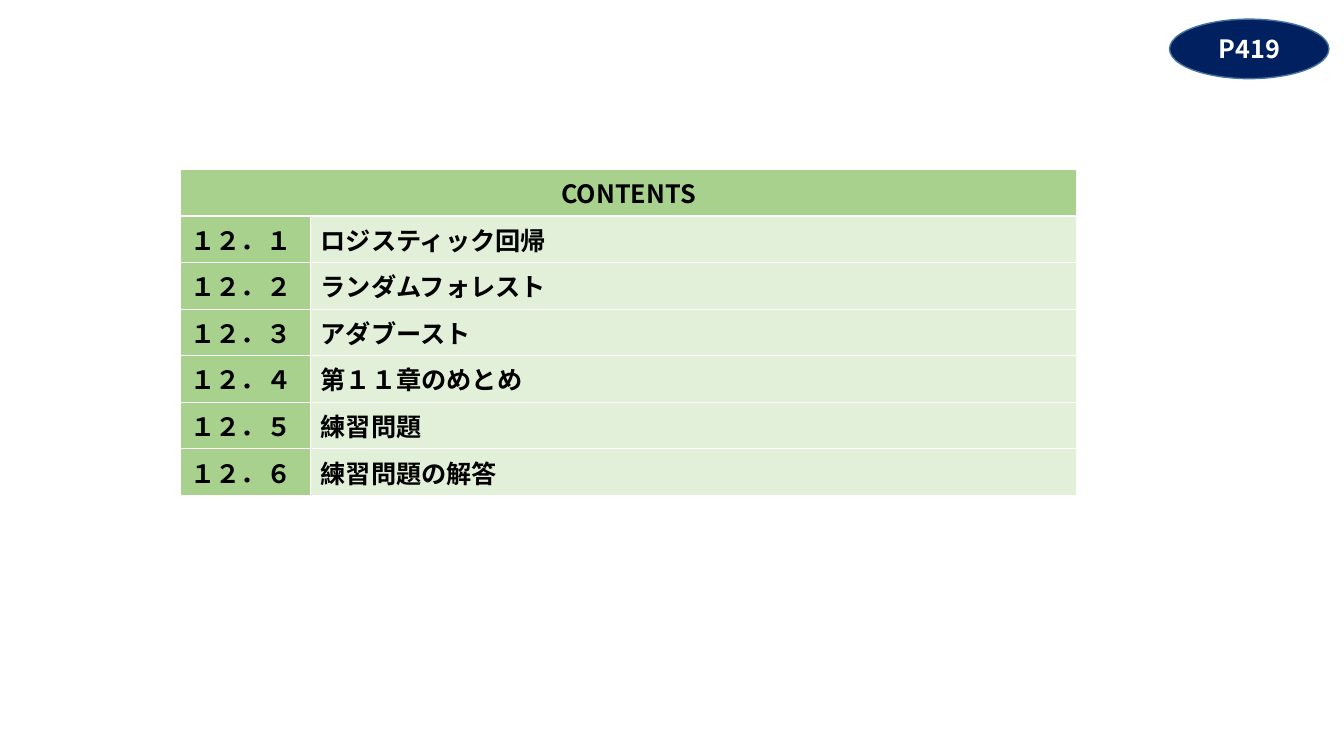
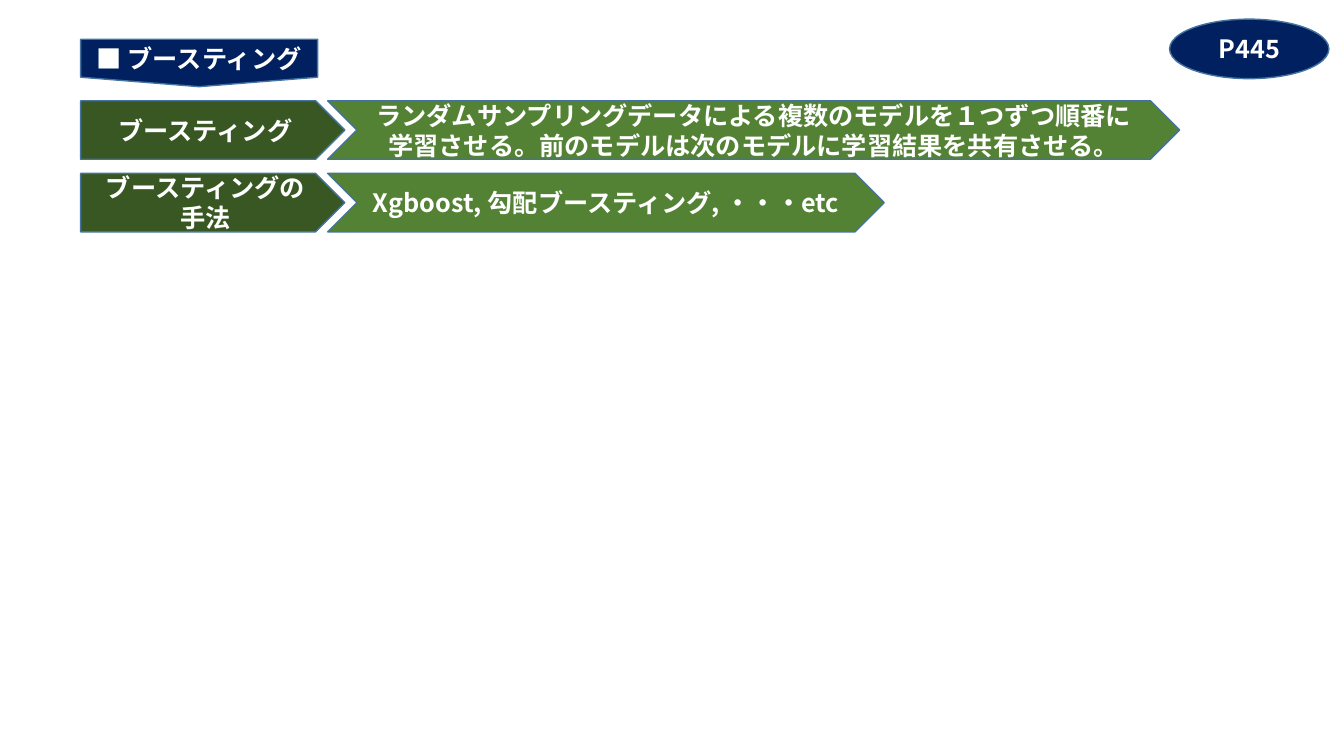
from lxml.etree import SubElement
from pptx import Presentation
from pptx.dml.color import RGBColor
from pptx.enum.shapes import MSO_SHAPE
from pptx.enum.text import MSO_ANCHOR, MSO_AUTO_SIZE, PP_ALIGN
from pptx.oxml import parse_xml
from pptx.oxml.ns import nsdecls, qn
from pptx.util import Inches, Pt

FONT = "Noto Sans CJK JP"
HEX = {"navy": "002060", "edge": "43739E", "dark": "385723", "green": "548235",
       "head": "A9D18E", "pale": "E2F0D9", "white": "FFFFFF", "black": "000000"}

HEADING = "CONTENTS"
CHAPTERS = [
    ("１２．１", "ロジスティック回帰"),
    ("１２．２", "ランダムフォレスト"),
    ("１２．３", "アダブースト"),
    ("１２．４", "第１１章のめとめ"),
    ("１２．５", "練習問題"),
    ("１２．６", "練習問題の解答"),
]
TITLE = "■ ブースティング"
# label lines, explanation, width of the explanation
TOPICS = [
    (["ブースティング"],
     "ランダムサンプリングデータによる複数のモデルを１つずつ順番に"
     "学習させる。前のモデルは次のモデルに学習結果を共有させる。", 8.45),
    (["ブースティングの", "手法"], "Xgboost, 勾配ブースティング, ・・・etc", 5.52),
]

LEFT = 0.8
BANNER = (LEFT, 0.39, 2.35, 0.47)
BADGE = (11.6, 0.19, 1.58, 0.59)
TOP, STEP, HIGH = 1, 0.72, 0.58
LABEL, NEXT = 2.62, 3.25
COLS, ROW = (1.29, 7.6), 0.41


def tint(name):
    return RGBColor.from_string(HEX[name])


def write(frame, lines, color="white", align=PP_ALIGN.CENTER):
    for i, line in enumerate(lines):
        para = frame.add_paragraph() if i else frame.paragraphs[0]
        para.alignment = align
        run = para.add_run()
        run.text = line
        font = run.font
        font.name, font.size, font.bold = FONT, Pt(18), True
        font.color.rgb = tint(color)
        SubElement(font._element, qn("a:ea")).set("typeface", FONT)


def block(slide, kind, box, fill, lines=()):
    shape = slide.shapes.add_shape(kind, *map(Inches, box))
    shape.shadow.inherit = False
    shape.fill.solid()
    shape.fill.fore_color.rgb = tint(fill)
    shape.line.color.rgb = tint("edge")
    shape.line.width = Pt(1)
    shape.text_frame.vertical_anchor = MSO_ANCHOR.MIDDLE
    write(shape.text_frame, lines)
    return shape


def badge(slide, page):
    block(slide, MSO_SHAPE.OVAL, BADGE, "navy", [page])


def banner(slide, text):
    """Put the slide title on the flat part of a pointed banner."""
    back = block(slide, MSO_SHAPE.FLOWCHART_OFFPAGE_CONNECTOR, BANNER, "navy")
    title = slide.shapes.title
    title._element.addprevious(back._element)
    x, y, w, h = map(Inches, BANNER)
    title.left, title.top, title.width, title.height = x, y, w, int(h * 0.8)
    frame = title.text_frame
    frame.auto_size = MSO_AUTO_SIZE.NONE
    frame.vertical_anchor = MSO_ANCHOR.MIDDLE
    write(frame, [text])
    frame.paragraphs[0].line_spacing = 1.0


def paint(cell, fill):
    cell.fill.solid()
    cell.fill.fore_color.rgb = tint(fill)
    props = cell._tc.get_or_add_tcPr()
    for i, side in enumerate("LRTB"):
        props.insert(i, parse_xml(
            f'<a:ln{side} {nsdecls("a")} w="12700"><a:solidFill>'
            f'<a:srgbClr val="{HEX["white"]}"/></a:solidFill></a:ln{side}>'))


def contents(slide):
    count = len(CHAPTERS) + 1
    box = (1.79, 1.68, sum(COLS), ROW * count)
    table = slide.shapes.add_table(count, 2, *map(Inches, box)).table
    for col, width in zip(table.columns, COLS):
        col.width = Inches(width)
    for row in table.rows:
        row.height = Inches(ROW)
    head = table.cell(0, 0)
    head.merge(table.cell(0, 1))
    for cell in (head, table.cell(0, 1)):
        paint(cell, "head")
    write(head.text_frame, [HEADING], "black")
    for r, chapter in enumerate(CHAPTERS, 1):
        for c, text in enumerate(chapter):
            cell = table.cell(r, c)
            paint(cell, ("head", "pale")[c])
            write(cell.text_frame, [text], "black", PP_ALIGN.LEFT)


def topics(slide):
    for i, (label, text, width) in enumerate(TOPICS):
        y = TOP + i * STEP
        block(slide, MSO_SHAPE.PENTAGON, (LEFT, y, LABEL, HIGH), "dark", label)
        block(slide, MSO_SHAPE.CHEVRON, (NEXT, y, width, HIGH), "green", [text])


def main():
    deck = Presentation()
    deck.slide_width, deck.slide_height = Inches(13.33), Inches(7.5)
    title_only, blank = deck.slide_layouts[5], deck.slide_layouts[6]

    slide = deck.slides.add_slide(blank)
    contents(slide)
    badge(slide, "P419")

    slide = deck.slides.add_slide(title_only)
    banner(slide, TITLE)
    badge(slide, "P445")
    topics(slide)

    deck.save("out.pptx")


if __name__ == "__main__":
    main()
